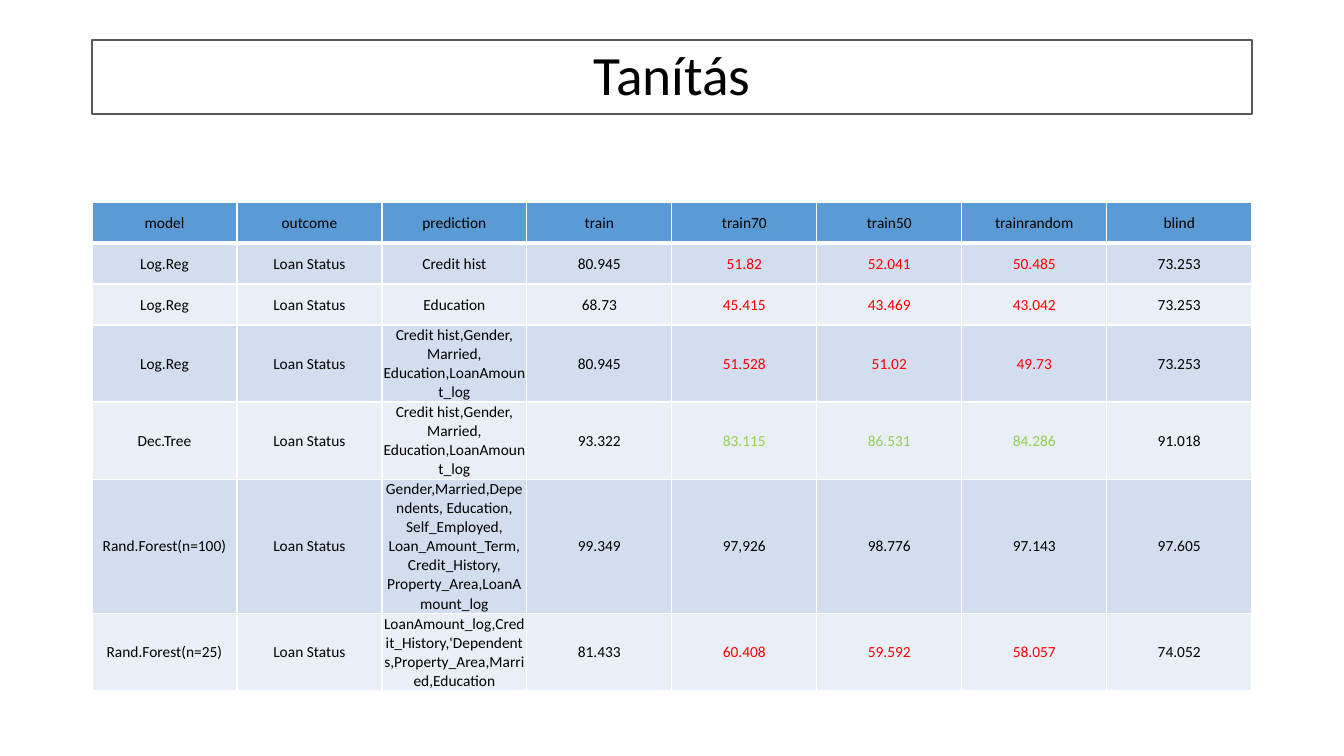
"""Build the Tanítás slide: a framed title above a table of model results."""
from copy import deepcopy

from lxml import etree
from pptx import Presentation
from pptx.dml.color import RGBColor
from pptx.enum.shapes import MSO_SHAPE
from pptx.enum.text import MSO_ANCHOR, PP_ALIGN
from pptx.oxml.ns import qn
from pptx.util import Pt

RECT = MSO_SHAPE.RECTANGLE
MIDDLE = MSO_ANCHOR.MIDDLE
CENTER = PP_ALIGN.CENTER
PX = 914400 / 100.8
C = {"black": "000000", "white": "FFFFFF", "frame": "595959", "head": "5B9BD5",
     "dark": "D2DEEF", "light": "EAEFF7", "red": "FF0000", "green": "92D050"}


def px(n):
    return round(n * PX)


def write(tf, text, size=11, color="black", spacing=None):
    p = tf.paragraphs[0]
    p.text = text
    p.alignment = CENTER
    p.line_spacing = spacing
    for r in p.runs:
        r.font.name = "Calibri"
        r.font.size = Pt(size)
        r.font.color.rgb = RGBColor.from_string(C[color])
    for br in p._p.findall(qn("a:br")):
        br.append(deepcopy(p._p.find(qn("a:r")).find(qn("a:rPr"))))


prs = Presentation()
prs.slide_width, prs.slide_height = px(1344), px(756)
s = prs.slides.add_slide(prs.slide_layouts[6])

title = s.shapes.add_shape(RECT, px(92), px(40), px(1160), px(74))
title.shadow.inherit = False
title.fill.background()
title.line.color.rgb = RGBColor.from_string(C["frame"])
title.line.width = Pt(1.5)
title.text_frame.vertical_anchor = MIDDLE
title.text_frame.word_wrap = True
write(title.text_frame, "Tanítás", size=39.6, spacing=0.9)

loan = "Loan Status"
mixed = "Credit hist,Gender, Married, Education,LoanAmount_log"
forest = ("Gender,Married,Dependents, Education,\vSelf_Employed, Loan_Amount_Term, "
          "Credit_History, Property_Area,LoanAmount_log")
small = "LoanAmount_log,Credit_History,'Dependents,Property_Area,Married,Education"
rows = [
    ("black", "model", "outcome", "prediction", "train", "train70", "train50", "trainrandom", "blind"),
    ("red", "Log.Reg", loan, "Credit hist", "80.945", "51.82", "52.041", "50.485", "73.253"),
    ("red", "Log.Reg", loan, "Education", "68.73", "45.415", "43.469", "43.042", "73.253"),
    ("red", "Log.Reg", loan, mixed, "80.945", "51.528", "51.02", "49.73", "73.253"),
    ("green", "Dec.Tree", loan, mixed, "93.322", "83.115", "86.531", "84.286", "91.018"),
    ("black", "Rand.Forest(n=100)", loan, forest, "99.349", "97,926", "98.776", "97.143", "97.605"),
    ("red", "Rand.Forest(n=25)", loan, small, "81.433", "60.408", "59.592", "58.057", "74.052"),
]

table = s.shapes.add_table(len(rows), 8, px(92), px(202), px(1160), px(41 * len(rows))).table
for i, (split_color, *texts) in enumerate(rows):
    table.rows[i].height = px(41)
    band = "head" if i == 0 else "dark" if i % 2 else "light"
    for j, text in enumerate(texts):
        cell = table.cell(i, j)
        cell.margin_left = cell.margin_right = cell.margin_top = px(1)
        cell.margin_bottom = 0
        cell.vertical_anchor = MIDDLE
        write(cell.text_frame, text, color=split_color if 4 <= j <= 6 else "black")
        for r in cell.text_frame.paragraphs[0].runs:
            r.font.bold = False
        tcPr = cell._tc.get_or_add_tcPr()
        for side in ("lnL", "lnR", "lnT", "lnB"):
            thick = (i, side) in ((0, "lnB"), (1, "lnT"))
            ln = etree.SubElement(tcPr, qn("a:" + side), w=str(Pt(3 if thick else 1)))
            fill = etree.SubElement(ln, qn("a:solidFill"))
            etree.SubElement(fill, qn("a:srgbClr"), val=C["white"])
        cell.fill.solid()
        cell.fill.fore_color.rgb = RGBColor.from_string(C[band])

prs.save("out.pptx")
